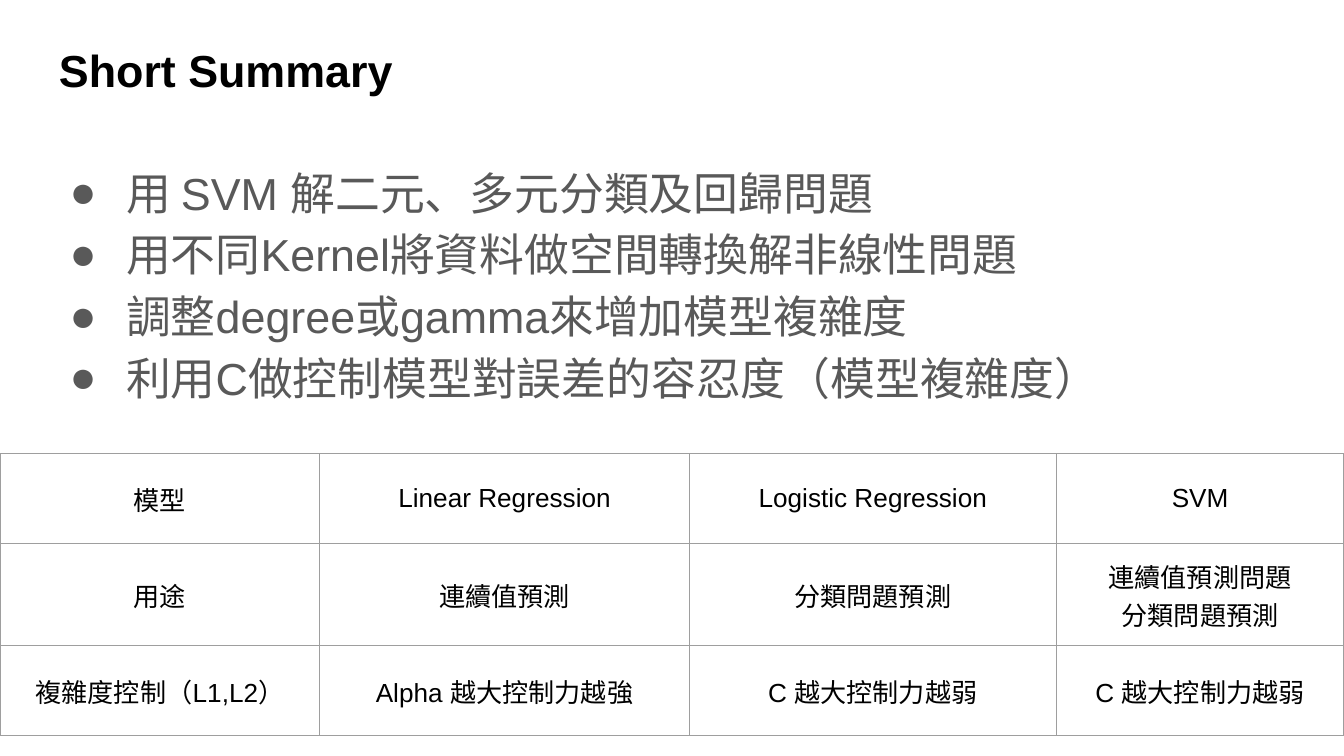
from lxml.etree import SubElement
from pptx import Presentation
from pptx.dml.color import RGBColor
from pptx.enum.text import MSO_ANCHOR as Anchor, PP_ALIGN as Align
from pptx.oxml.ns import qn
from pptx.util import Inches, Pt

WIDTH = 10
HEIGHT = WIDTH * 9 / 16
MARGIN = 0.34
BLACK, GREY, BORDER = "000000", "595959", "9E9E9E"
INSETS = dict.fromkeys(
    ("margin_left", "margin_top", "margin_right", "margin_bottom"), Inches(0.1))

BULLETS = [
    "用 SVM 解二元、多元分類及回歸問題",
    "用不同Kernel將資料做空間轉換解非線性問題",
    "調整degree或gamma來增加模型複雜度",
    "利用C做控制模型對誤差的容忍度（模型複雜度）",
]
COLUMN_WIDTHS = [2.38, 2.75, 2.73, 2.14]
ROW_HEIGHTS = [0.67, 0.76, 0.67]
MODELS = [
    ["模型", "Linear Regression", "Logistic Regression", "SVM"],
    ["用途", "連續值預測", "分類問題預測", "連續值預測問題\n分類問題預測"],
    ["複雜度控制（L1,L2）", "Alpha 越大控制力越強", "C 越大控制力越弱", "C 越大控制力越弱"],
]


def color(value):
    return RGBColor.from_string(value)


def set_attributes(target, values):
    for name, value in values.items():
        setattr(target, name, value)


def write_lines(frame, lines, size, text_color, bold=False, **paragraph_format):
    """Fill a text frame with one paragraph for each line."""
    frame.text = "\n".join(lines)
    for paragraph in frame.paragraphs:
        set_attributes(paragraph, paragraph_format)
        for run in paragraph.runs:
            set_attributes(run.font, {"name": "Arial", "size": Pt(size), "bold": bold})
            run.font.color.rgb = color(text_color)


def add_text_frame(slide, box, anchor):
    frame = slide.shapes.add_textbox(*map(Inches, box)).text_frame
    set_attributes(frame, {"word_wrap": True, "vertical_anchor": anchor, **INSETS})
    return frame


def add_title(slide, box, text):
    frame = add_text_frame(slide, box, Anchor.MIDDLE)
    write_lines(frame, [text], 24, BLACK, bold=True)


def add_bullet(paragraph, bullet_color):
    properties = paragraph._p.get_or_add_pPr()
    properties.set("marL", str(Inches(0.5)))
    properties.set("indent", str(Inches(-0.42)))
    fill = SubElement(properties, qn("a:buClr"))
    SubElement(fill, qn("a:srgbClr"), val=bullet_color)
    SubElement(properties, qn("a:buFont"), typeface="Arial")
    SubElement(properties, qn("a:buChar"), char="●")


def add_bullet_list(slide, box, lines):
    frame = add_text_frame(slide, box, Anchor.TOP)
    write_lines(frame, lines, 24, GREY, line_spacing=1.15)
    for paragraph in frame.paragraphs:
        add_bullet(paragraph, GREY)


def add_borders(cell):
    properties = cell._tc.get_or_add_tcPr()
    for position, side in enumerate(("lnL", "lnR", "lnT", "lnB")):
        line = SubElement(properties, qn(f"a:{side}"), w=str(Pt(0.75)))
        fill = SubElement(line, qn("a:solidFill"))
        SubElement(fill, qn("a:srgbClr"), val=BORDER)
        properties.insert(position, line)


def add_model_table(slide, box, rows):
    table = slide.shapes.add_table(
        len(rows), len(COLUMN_WIDTHS), *map(Inches, box)).table
    set_attributes(table, {"first_row": False, "horz_banding": False})
    for column, width in zip(table.columns, COLUMN_WIDTHS):
        column.width = Inches(width)
    for row, height, texts in zip(table.rows, ROW_HEIGHTS, rows):
        row.height = Inches(height)
        for cell, text in zip(row.cells, texts):
            set_attributes(cell, {"vertical_anchor": Anchor.MIDDLE, **INSETS})
            cell.fill.background()
            add_borders(cell)
            write_lines(cell.text_frame, text.split("\n"), 14, BLACK,
                        alignment=Align.CENTER)


def build_summary_slide(presentation):
    slide = presentation.slides.add_slide(presentation.slide_layouts[6])
    content_width = WIDTH - 2 * MARGIN
    add_title(slide, (MARGIN, 0.2, content_width, 0.63), "Short Summary")
    add_bullet_list(slide, (MARGIN, 1.07, content_width, 4.23), BULLETS)
    add_model_table(slide, (0, 0.6 * HEIGHT, WIDTH, sum(ROW_HEIGHTS)), MODELS)


def main():
    presentation = Presentation()
    set_attributes(presentation, {"slide_width": Inches(WIDTH),
                                  "slide_height": Inches(HEIGHT)})
    build_summary_slide(presentation)
    presentation.save("out.pptx")


if __name__ == "__main__":
    main()
